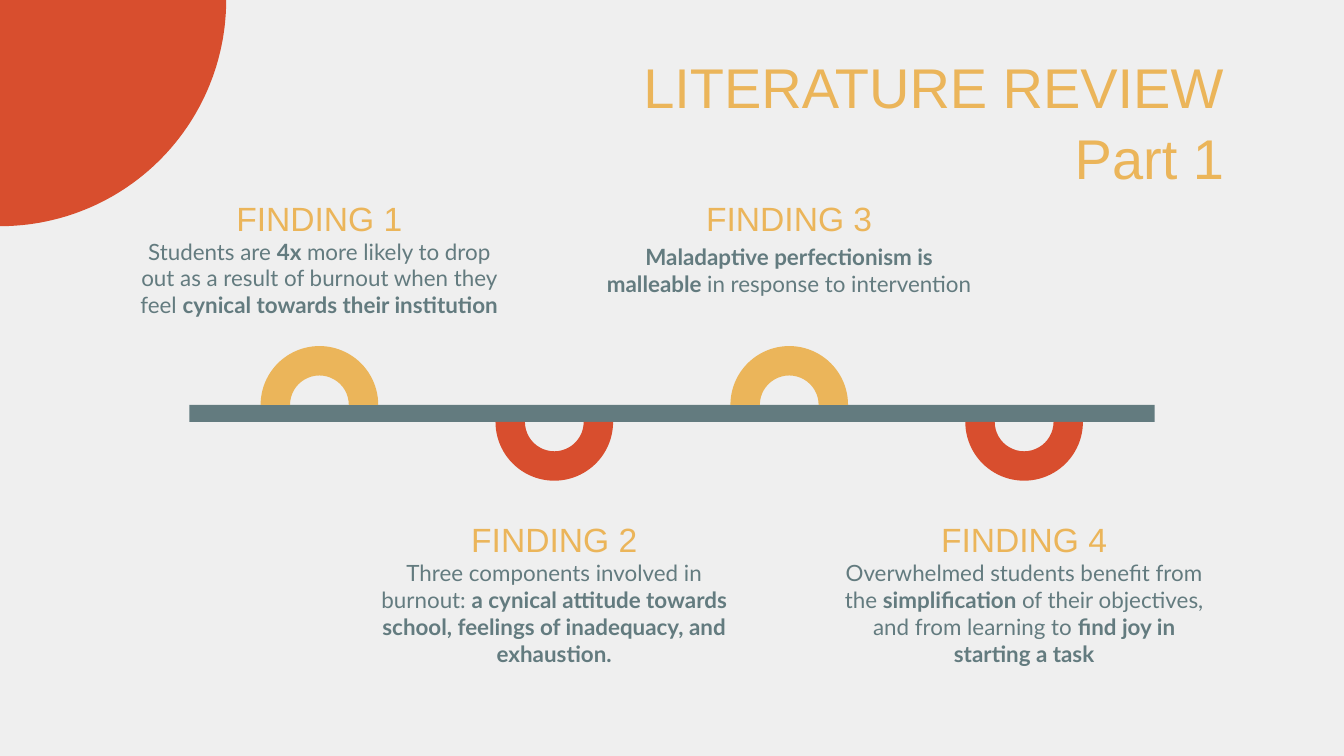
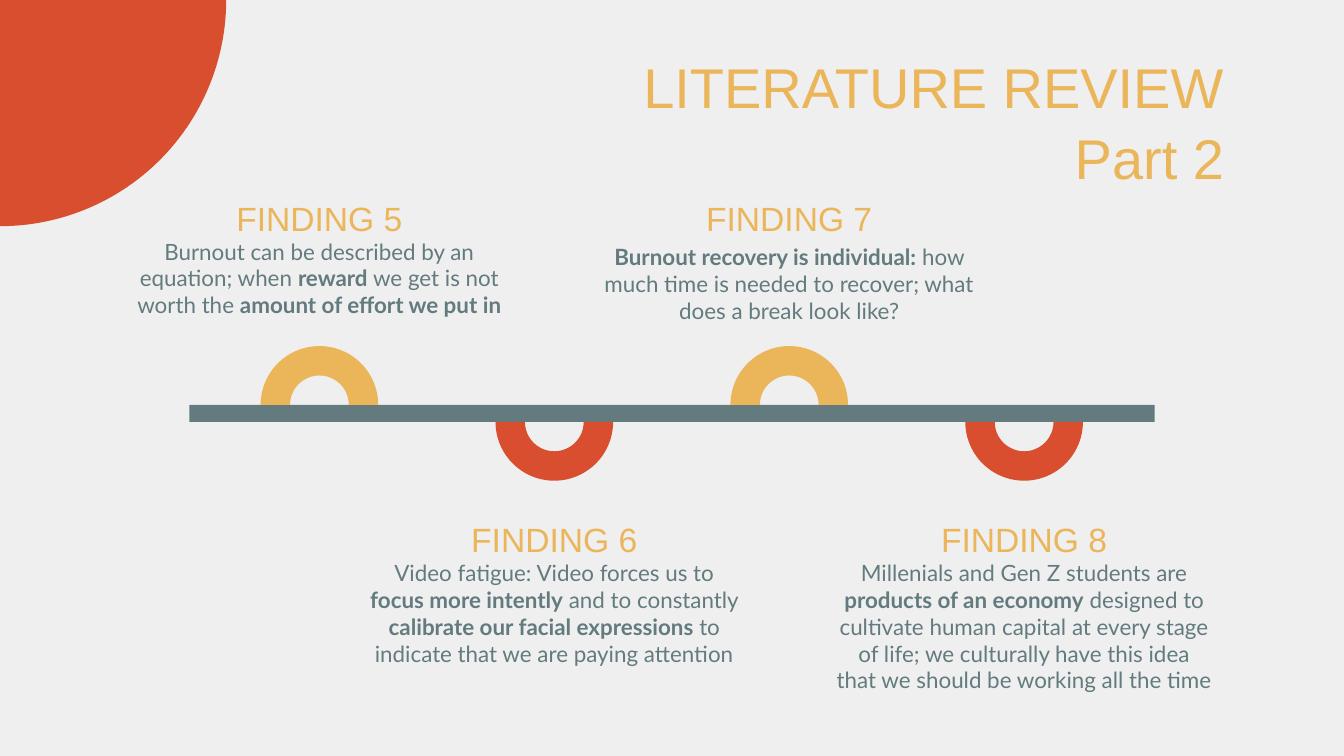
from math import cos, pi, sin

from pptx import Presentation
from pptx.dml.color import RGBColor
from pptx.enum.shapes import MSO_SHAPE as Preset
from pptx.enum.text import MSO_ANCHOR as Anchor, MSO_AUTO_SIZE as AutoSize, PP_ALIGN as Align
from pptx.util import Pt

PAPER = RGBColor(0xEF, 0xEF, 0xEF)
RED = RGBColor(0xD8, 0x4E, 0x2E)
GOLD = RGBColor(0xEB, 0xB5, 0x5A)
SLATE = RGBColor(0x63, 0x7B, 0x7F)
HEADING_FONT, BODY_FONT = "Arial", "Lato"

# Timeline rule: evenly spaced columns, alternating above and below the bar
FIRST_CENTRE, COLUMN_PITCH = 171.1, 125.85
BAR = (101.5, 216.9, 517, 9.1)
ARC_SIZE = 63
HEADING_WIDTH, BODY_WIDTH = 144.7, 215.3
HEADING_TOPS = (96.5, 268.6)
BODY_TOPS = (120.2, 292.3, 123.1, 292.3)

# Asterisks enclose the bold words
REVIEWS = [
    ("Part 1", 1, [
        "Students are *4x *more likely to drop out as a result of burnout when they "
        "feel *cynical towards their institution*",
        "Three components involved in burnout: *a cynical attitude towards school, "
        "feelings of inadequacy, and exhaustion.*",
        "*Maladaptive perfectionism is malleable *in response to intervention",
        "Overwhelmed students benefit from the *simplification *of their objectives, "
        "and from learning to *find joy in starting a task*",
    ]),
    ("Part 2", 5, [
        "Burnout can be described by an equation; when *reward* we get is not worth "
        "the *amount of effort we put in*",
        "Video fatigue: Video forces us to *focus more intently* and to constantly "
        "*calibrate our facial expressions *to indicate that we are paying attention",
        "*Burnout recovery is individual: *how much time is needed to recover; what "
        "does a break look like?",
        "Millenials and Gen Z students are *products of an economy* designed to "
        "cultivate human capital at every stage of life; we culturally have this idea "
        "that we should be working all the time",
    ]),
]


def box_in_points(left, top, width, height):
    return Pt(left), Pt(top), Pt(width), Pt(height)


def paint(shape, color):
    shape.shadow.inherit = False
    shape.fill.solid()
    shape.fill.fore_color.rgb = color
    shape.line.fill.background()


def style(paragraph, font_name, size, color, align, spacing=1.0):
    paragraph.font.name = font_name
    paragraph.font.size = Pt(size)
    paragraph.font.color.rgb = color
    paragraph.alignment = align
    paragraph.line_spacing = spacing


def set_frame(frame):
    frame.word_wrap = True
    frame.auto_size = AutoSize.NONE
    frame.vertical_anchor = Anchor.TOP
    frame.margin_left = frame.margin_right = Pt(7.2)
    frame.margin_top = frame.margin_bottom = Pt(7.2)


def add_corner_disc(slide, radius, steps=90):
    """Quarter disc centred on the slide's top left corner."""
    rim = [(Pt(radius * cos(pi / 2 * i / steps)), Pt(radius * sin(pi / 2 * i / steps)))
           for i in range(steps + 1)]
    outline = slide.shapes.build_freeform(0, 0)
    outline.add_line_segments(rim, close=True)
    paint(outline.convert_to_shape(), RED)


def fill_title(slide, box, part):
    title = slide.shapes.title
    title.left, title.top, title.width, title.height = box_in_points(*box)
    frame = title.text_frame
    frame.text = f"LITERATURE REVIEW\n{part}"
    set_frame(frame)
    for line in frame.paragraphs:
        style(line, HEADING_FONT, 30, GOLD, Align.RIGHT, 1.06)


def add_timeline(slide, box, centres):
    left, top, width, height = box
    timeline = slide.shapes.add_group_shape().shapes
    paint(timeline.add_shape(Preset.RECTANGLE, *box_in_points(*box)), SLATE)
    for column, centre in enumerate(centres):
        below = column % 2 == 1
        edge = top + height if below else top
        arc = timeline.add_shape(Preset.BLOCK_ARC, *box_in_points(
            centre - ARC_SIZE / 2, edge - ARC_SIZE / 2, ARC_SIZE, ARC_SIZE))
        arc.adjustments[0] = 108
        arc.adjustments[1] = 0
        arc.adjustments[2] = 0.25
        arc.rotation = 180 if below else 0
        paint(arc, RED if below else GOLD)


def add_finding(slide, centre, heading_top, body_top, number, finding):
    heading = slide.shapes.add_textbox(*box_in_points(
        centre - HEADING_WIDTH / 2, heading_top, HEADING_WIDTH, 31)).text_frame
    heading.text = f"FINDING {number}"
    set_frame(heading)
    style(heading.paragraphs[0], HEADING_FONT, 18, GOLD, Align.CENTER, 1.1)

    body = slide.shapes.add_textbox(*box_in_points(
        centre - BODY_WIDTH / 2, body_top, BODY_WIDTH, 86.4)).text_frame
    set_frame(body)
    paragraph = body.paragraphs[0]
    style(paragraph, BODY_FONT, 12, SLATE, Align.CENTER)
    for index, words in enumerate(finding.split("*")):
        if words:
            run = paragraph.add_run()
            run.text = words
            run.font.bold = index % 2 == 1


def add_review_slide(prs, part, first_number, findings):
    slide = prs.slides.add_slide(prs.slide_layouts[5])
    centres = [FIRST_CENTRE + COLUMN_PITCH * column for column in range(len(findings))]
    add_corner_disc(slide, 121.2)
    fill_title(slide, (288, 18.7, 375, 45.4), part)
    add_timeline(slide, BAR, centres)
    for column, finding in enumerate(findings):
        add_finding(slide, centres[column], HEADING_TOPS[column % 2],
                    BODY_TOPS[column], first_number + column, finding)


def main():
    prs = Presentation()
    prs.slide_width, prs.slide_height = Pt(720), Pt(405)
    # Shared background
    paper = prs.slide_master.background.fill
    paper.solid()
    paper.fore_color.rgb = PAPER
    for part, first_number, findings in REVIEWS:
        add_review_slide(prs, part, first_number, findings)
    prs.save("out.pptx")


if __name__ == "__main__":
    main()
